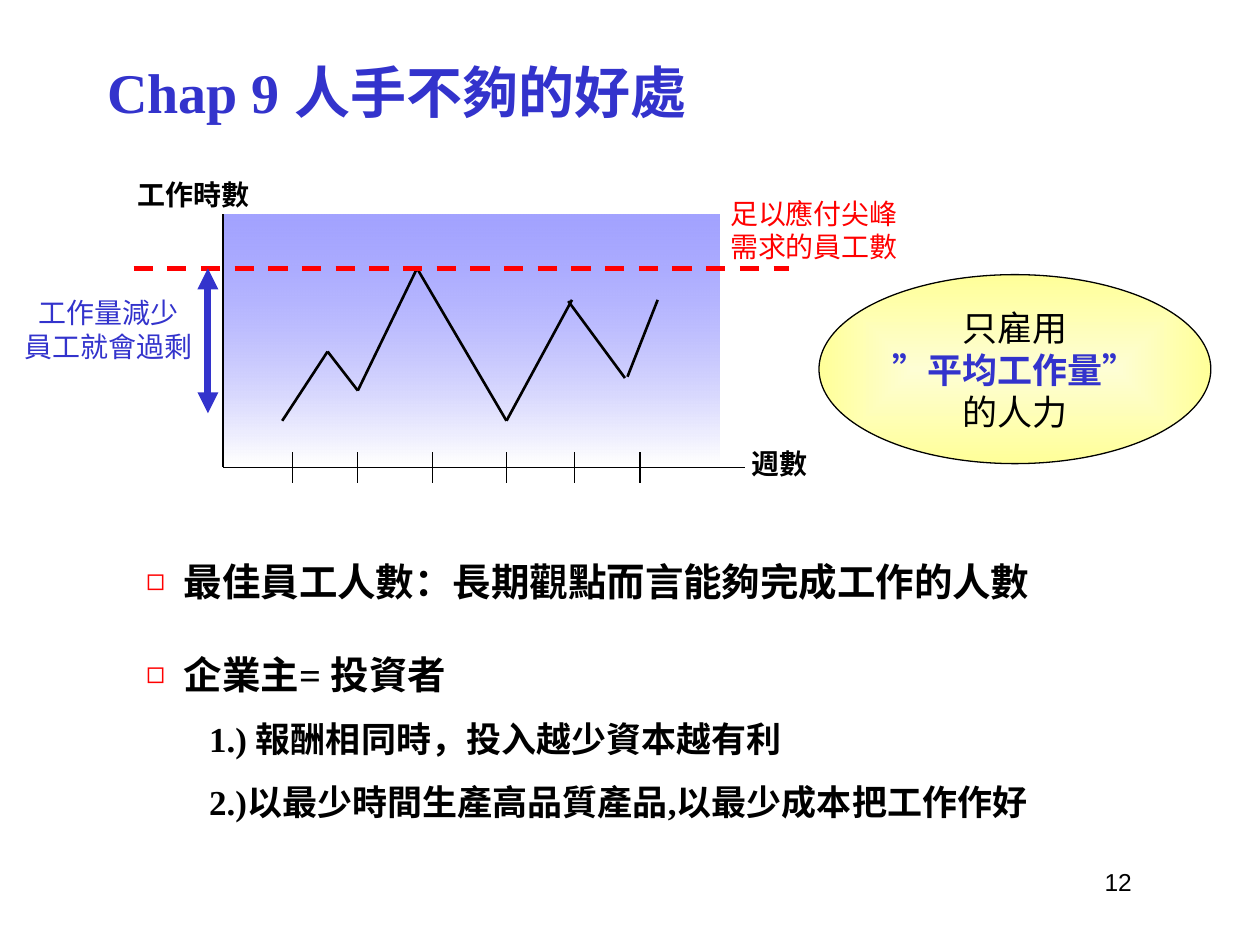
from itertools import pairwise

from lxml import etree
from pptx import Presentation
from pptx.dml.color import RGBColor
from pptx.enum.dml import MSO_LINE
from pptx.enum.shapes import MSO_CONNECTOR, MSO_SHAPE
from pptx.enum.text import MSO_ANCHOR, MSO_AUTO_SIZE, PP_ALIGN
from pptx.oxml import parse_xml
from pptx.oxml.ns import nsdecls, qn
from pptx.util import Inches, Pt

LEFT, CENTER = PP_ALIGN.LEFT, PP_ALIGN.CENTER
TOP, MIDDLE = MSO_ANCHOR.TOP, MSO_ANCHOR.MIDDLE
FIXED, GROW = MSO_AUTO_SIZE.NONE, MSO_AUTO_SIZE.SHAPE_TO_FIT_TEXT
STRAIGHT = MSO_CONNECTOR.STRAIGHT
RECT, OVAL = MSO_SHAPE.RECTANGLE, MSO_SHAPE.OVAL
DASH = MSO_LINE.DASH

COLORS = {
    "black": "000000", "blue": "3333CC", "red": "FF0000",
    "sky": "6666FF", "white": "FEFEFE", "cream": "FEFED4", "yellow": "FFFF99",
}
LINEAR = '<a:lin ang="5400000" scaled="1"/>'
FROM_CENTER = ('<a:path path="rect"><a:fillToRect l="50000" t="50000" '
               'r="50000" b="50000"/></a:path>')


class SlideBuilder:
    def __init__(self, slide, font="Times New Roman"):
        self.slide = slide
        self.font = font

    def color(self, name):
        return RGBColor.from_string(COLORS[name])

    def place(self, sp, box):
        sp.left, sp.top, sp.width, sp.height = (Inches(v) for v in box)

    def frame(self, sp, anchor=MIDDLE, wrap=False, size=FIXED):
        tf = sp.text_frame
        tf.auto_size = size
        tf.word_wrap = wrap
        tf.vertical_anchor = anchor
        return tf

    def add_text(self, p, text, size, color="black", bold=False, align=CENTER, font=None):
        p.alignment = align
        p.space_before = Pt(0)
        r = p.add_run()
        r.text = text
        r.font.name = font or self.font
        r.font.size = Pt(size)
        r.font.bold = bold
        r.font.color.rgb = self.color(color)

    def lines(self, tf, rows):
        """Each row is (text, size, color, bold)."""
        for i, row in enumerate(rows):
            p = tf.add_paragraph() if i else tf.paragraphs[0]
            self.add_text(p, *row)

    def title(self, text, box):
        sp = self.slide.shapes.title
        self.place(sp, box)
        tf = self.frame(sp, wrap=True)
        self.add_text(tf.paragraphs[0], text, 32, "blue", True, LEFT)

    def label(self, rows, box):
        sp = self.slide.shapes.add_textbox(*(Inches(v) for v in box))
        self.lines(self.frame(sp), rows)

    def number(self, text, box):
        sp = self.slide.shapes.add_textbox(*(Inches(v) for v in box))
        tf = self.frame(sp, TOP, True)
        self.add_text(tf.paragraphs[0], text, 14, font="Arial")

    def shape(self, kind, box, start, end, direction, alpha=100, outline=False):
        sp = self.slide.shapes.add_shape(kind, *(Inches(v) for v in box))
        sp.shadow.inherit = False
        if outline:
            sp.line.color.rgb = self.color("black")
            sp.line.width = Pt(0.75)
        else:
            sp.line.fill.background()
        sp.fill.solid()
        spPr = sp._element.spPr
        gradient = parse_xml(
            f'<a:gradFill {nsdecls("a")} rotWithShape="1"><a:gsLst>'
            f'<a:gs pos="0"><a:srgbClr val="{COLORS[start]}">'
            f'<a:alpha val="{alpha * 1000}"/></a:srgbClr></a:gs>'
            f'<a:gs pos="100000"><a:srgbClr val="{COLORS[end]}"/></a:gs>'
            f'</a:gsLst>{direction}</a:gradFill>')
        spPr.replace(spPr.find(qn("a:solidFill")), gradient)
        return sp

    def line(self, start, end, color="black", width=0.75, dash=None, arrows=False):
        c = self.slide.shapes.add_connector(
            STRAIGHT, *(Inches(v) for v in (*start, *end)))
        c.line.color.rgb = self.color(color)
        c.line.width = Pt(width)
        if dash:
            c.line.dash_style = dash
        spPr = c._element.spPr
        if arrows:
            ln = spPr.find(qn("a:ln"))
            for tag in ("a:headEnd", "a:tailEnd"):
                etree.SubElement(ln, qn(tag), type="triangle")
        etree.SubElement(spPr, qn("a:effectLst"))

    def bullets(self, sp, box, rows, spacing=1.0):
        """Each row is (text, level); only level 0 has a bullet."""
        self.place(sp, box)
        tf = self.frame(sp, TOP, True, GROW)
        for i, (text, level) in enumerate(rows):
            p = tf.add_paragraph() if i else tf.paragraphs[0]
            p.level = level
            self.add_text(p, text, 20 if level else 22, bold=True, align=LEFT)
            p.line_spacing = spacing
            pPr = p._p.get_or_add_pPr()
            pPr.set("marL", str(Inches(0.5 if level else 0.23)))
            pPr.set("indent", str(Inches(0 if level else -0.23)))
            if level:
                etree.SubElement(pPr, qn("a:buNone"))
                continue
            bu_color = etree.SubElement(pPr, qn("a:buClr"))
            etree.SubElement(bu_color, qn("a:srgbClr"), val=COLORS["red"])
            etree.SubElement(pPr, qn("a:buSzPct"), val="80000")
            etree.SubElement(pPr, qn("a:buChar"), char="◻")


def main():
    prs = Presentation()
    prs.slide_width, prs.slide_height = Inches(10), Inches(7.5)
    slide = prs.slides.add_slide(prs.slide_layouts[3])
    s = SlideBuilder(slide)

    s.number("12", (8.5, 6.83, 0.75, 0.42))
    s.title("Chap 9 人手不夠的好處", (0.75, 0.36, 8.49, 0.72))

    # Workload diagram: background and axes
    s.shape(RECT, (1.77, 1.7, 3.94, 1.97), "sky", "white", LINEAR, alpha=60)
    origin = (1.77, 3.71)
    s.line((1.77, 1.7), origin)
    s.line(origin, (5.91, 3.71))
    for x in (2.32, 2.84, 3.43, 4.02, 4.56, 5.08):
        s.line((x, 3.59), (x, 3.83))

    # Weekly workload, in three strokes
    strokes = (
        ((2.24, 3.34), (2.6, 2.79), (2.84, 3.1), (3.31, 2.13), (4.02, 3.34), (4.54, 2.38)),
        ((4.51, 2.39), (4.96, 3.0)),
        ((4.98, 2.99), (5.22, 2.38)),
    )
    for stroke in strokes:
        for start, end in pairwise(stroke):
            s.line(start, end, width=1.5)

    # Peak staffing level and surplus
    s.line((1.06, 2.13), (6.26, 2.13), "red", 2.75, dash=DASH)
    s.line((1.65, 2.13), (1.65, 3.28), "blue", 4, arrows=True)

    # Diagram labels
    s.label([("工作時數", 16, "black", True)], (1.14, 1.23, 0.79, 0.63))
    s.label([("週數", 16, "black", True)], (5.79, 3.36, 0.79, 0.63))
    s.label([("足以應付尖峰", 16, "red"), ("需求的員工數", 16, "red")],
            (5.87, 1.39, 1.18, 0.87))
    s.label([("工作量減少", 16, "blue"), ("員工就會過剩", 16, "blue")],
            (0.27, 2.18, 1.18, 0.87))

    # Conclusion
    oval = s.shape(OVAL, (6.5, 2.18, 3.11, 1.5), "cream", "yellow",
                   FROM_CENTER, outline=True)
    s.lines(s.frame(oval), [("只雇用", 20), ("”平均工作量”", 20, "blue", True),
                            ("的人力", 20)])

    # Lists
    first, second = slide.placeholders[1], slide.placeholders[2]
    s.bullets(first, (1.06, 4.38, 7.48, 0.47),
              [(" 最佳員工人數：長期觀點而言能夠完成工作的人數", 0)])
    s.bullets(second, (1.06, 4.93, 8.51, 1.65),
              [(" 企業主= 投資者", 0),
               ("1.) 報酬相同時，投入越少資本越有利", 1),
               ("2.)以最少時間生產高品質產品,以最少成本把工作作好", 1)], spacing=1.5)

    prs.save("out.pptx")


if __name__ == "__main__":
    main()
